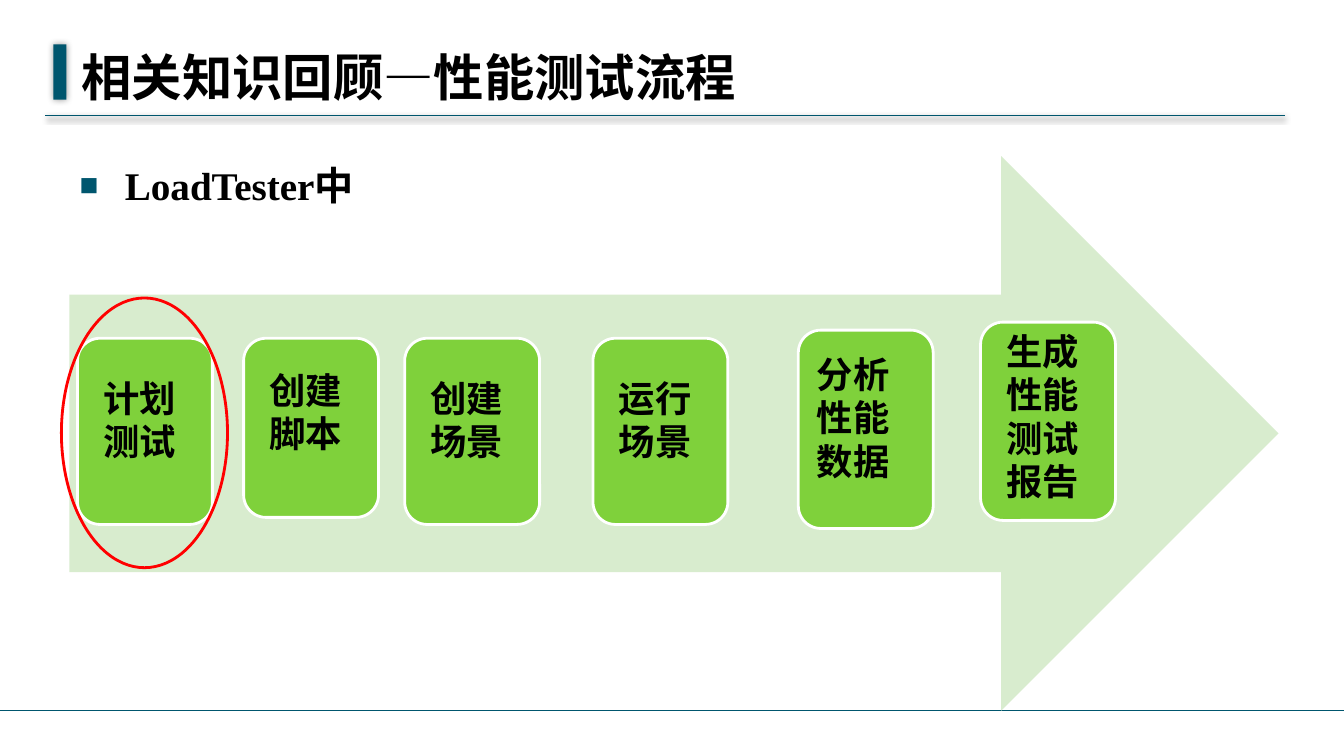
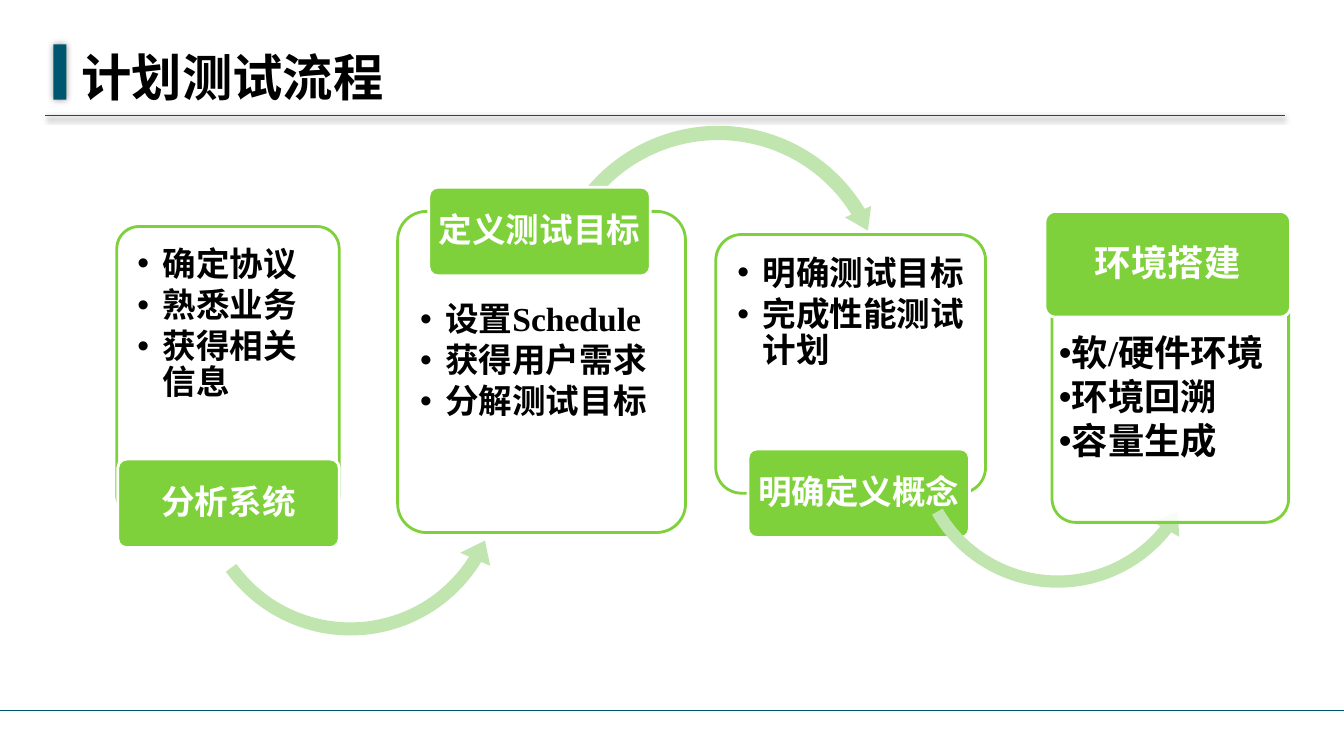
from dataclasses import dataclass

from lxml.etree import SubElement
from pptx import Presentation
from pptx.dml.color import RGBColor
from pptx.enum.shapes import MSO_CONNECTOR, MSO_SHAPE
from pptx.enum.text import MSO_ANCHOR, PP_ALIGN
from pptx.oxml.ns import qn
from pptx.util import Inches, Pt


@dataclass(frozen=True)
class Theme:
    """Colours, fonts and type sizes of the deck."""
    teal: str = "00566E"
    green: str = "7FD13B"
    pale_green: str = "D8ECCE"
    soft_green: str = "C0E5AF"
    red: str = "FF0000"
    black: str = "000000"
    white: str = "FFFFFF"
    latin: str = "Times New Roman"
    asian: str = "Noto Sans CJK SC"
    title: int = 36
    lead: int = 28
    step: int = 26
    stage: int = 24


THEME = Theme()


@dataclass(frozen=True)
class Box:
    """Rectangle counted in columns and rows of a 0.1 inch grid."""
    left: float
    top: float
    width: float
    height: float

    def inner(self, column, row, width, height):
        """Return a box placed relative to this one."""
        return Box(self.left + column, self.top + row, width, height)

    def emu(self):
        """Return the box as python-pptx lengths."""
        return [cells(n) for n in (self.left, self.top, self.width, self.height)]


def cells(count):
    """Convert grid cells to a length."""
    return Inches(round(count / 10, 3))


PAGE = Box(0, 0, 133.5, 75)
TITLE = PAGE.inner(6.9, 4.4, 90.5, 6.3)
LEAD = PAGE.inner(6.7, 13.1, 120.1, 55.1)
FLOW = PAGE.inner(6.9, 15.5, 120.1, 55.1)

STEPS = [
    (["计划测试"], 0.8, 18.1, 18.5, (1.9, 3.1)),
    (["创建脚本"], 17.3, 18.1, 17.8, (1.9, 2.3)),
    (["创建场景"], 33.3, 18.1, 18.5, (1.9, 3.1)),
    (["运行场景"], 52, 18.1, 18.5, (1.9, 3.1)),
    (["分析性能数据"], 72.4, 17.3, 19.7, (1.2, 1.5)),
    (["生成性能测试", "报告"], 90.5, 16.5, 19.7, (1.9, 0)),
]


@dataclass(frozen=True)
class Stage:
    """One stage of the planning process, its label placed relative to its card."""
    name: str
    tasks: tuple
    card: Box
    label: tuple
    margins: tuple = (1.4, 1.4)
    indent: float = 2.5
    size: int = THEME.stage
    arrow: tuple = ()


STAGES = [
    Stage("分析系统", ("确定协议", "熟悉业务", "获得相关信息"),
          PAGE.inner(11.6, 22.5, 22.1, 28.9), (0.1, 23.1, 22, 8.8),
          arrow=(MSO_SHAPE.LEFT_CIRCULAR_ARROW, (7, 9.2, 32.4, 32.4),
                 (0.04, 4.93, 19.01, 86.57, 0.05))),
    Stage("定义测试目标", ("设置Schedule", "获得用户需求", "分解测试目标"),
          PAGE.inner(39.5, 21, 28.6, 31.9), (3.1, -2.4, 22, 8.8), margins=(1.4, 8.2),
          arrow=(MSO_SHAPE.CIRCULAR_ARROW, (14.2, -9.2, 35.3, 35.3),
                 (0.04, 4.49, 197.27, 129.27, 0.04))),
    Stage("明确定义概念", ("明确测试目标", "完成性能测试计划"),
          PAGE.inner(71.1, 23.3, 26.8, 25.7), (3.2, 21.3, 22, 8.8)),
    Stage("环境搭建", ("软/硬件环境", "环境回溯", "容量生成"),
          PAGE.inner(104.5, 27.3, 23.5, 24.6), (-0.7, -6.3, 24.4, 10.5),
          margins=(0, 5.3), indent=0.6, size=THEME.step,
          arrow=(MSO_SHAPE.LEFT_CIRCULAR_ARROW, (-14.7, 1.5, 30.5, 30.5),
                 (0.04, 5.28, 23.03, 90.25, 0.05))),
]


def rgb(colour):
    """Turn a hex string into a colour."""
    return RGBColor.from_string(colour)


def add_bullet(paragraph, char, colour, indent, share):
    """Give a paragraph a hanging bullet."""
    properties = paragraph._p.get_or_add_pPr()
    properties.set("marL", str(cells(indent)))
    properties.set("indent", str(-cells(indent)))
    SubElement(SubElement(properties, qn("a:buClr")), qn("a:srgbClr"), val=colour)
    SubElement(properties, qn("a:buSzPct"), val=str(share * 1000))
    SubElement(properties, qn("a:buFont"), typeface="Arial")
    SubElement(properties, qn("a:buChar"), char=char)


def write(shape, lines, *, size, colour=THEME.black, align=PP_ALIGN.LEFT,
          anchor=MSO_ANCHOR.TOP, margins=(1.2, 0.6, 1.2, 0.6), spacing=None,
          after=None, bullet=None):
    """Fill a shape with formatted paragraphs."""
    frame = shape.text_frame
    frame.word_wrap = True
    frame.vertical_anchor = anchor
    (frame.margin_left, frame.margin_top,
     frame.margin_right, frame.margin_bottom) = map(cells, margins)
    for index, line in enumerate(lines):
        paragraph = frame.add_paragraph() if index else frame.paragraphs[0]
        paragraph.alignment = align
        if spacing:
            paragraph.line_spacing = spacing
        if after:
            paragraph.space_after = Pt(after)
        if bullet:
            add_bullet(paragraph, *bullet)
        run = paragraph.add_run()
        run.text = line
        run.font.size = Pt(size)
        run.font.bold = True
        run.font.color.rgb = rgb(colour)
        run.font.name = THEME.latin
        SubElement(run._r.get_or_add_rPr(), qn("a:ea"), typeface=THEME.asian)


def add_block(slide, kind, box, fill=None, line=None, adjust=(), opacity=100):
    """Draw a preset shape with a plain fill and outline."""
    block = slide.shapes.add_shape(kind, *box.emu())
    block.shadow.inherit = False
    for index, value in enumerate(adjust):
        block.adjustments[index] = value
    if fill:
        block.fill.solid()
        block.fill.fore_color.rgb = rgb(fill)
        if opacity < 100:
            tint = block.element.spPr.find(qn("a:solidFill"))[0]
            SubElement(tint, qn("a:alpha"), val=str(opacity * 1000))
    else:
        block.fill.background()
    if line:
        block.line.color.rgb = rgb(line)
        block.line.width = Pt(2)
    else:
        block.line.fill.background()
    return block


def add_rule(slide, left, right, row):
    """Draw a thin horizontal line without shadow."""
    rule = slide.shapes.add_connector(
        MSO_CONNECTOR.STRAIGHT, cells(left), cells(row), cells(right), cells(row))
    rule.line.color.rgb = rgb(THEME.teal)
    rule.line.width = Pt(1)
    SubElement(rule.element.spPr, qn("a:effectLst"))
    return rule


def cast_shadow(shape, opacity, blur, distance):
    """Add a soft shadow below a shape."""
    effects = shape.element.spPr.find(qn("a:effectLst"))
    shadow = SubElement(effects, qn("a:outerShdw"), blurRad=str(Pt(blur)),
                        dist=str(Pt(distance)), dir="5400000", rotWithShape="0")
    tint = SubElement(shadow, qn("a:srgbClr"), val=THEME.black)
    SubElement(tint, qn("a:alpha"), val=str(opacity * 1000))


def decorate_master(deck, slide):
    """Draw the title bar and both rules, and move them to the master."""
    title_rule = add_rule(slide, 4.5, 127.6, 11.5)
    cast_shadow(title_rule, 42, 4, 1.6)
    title_bar = add_block(slide, MSO_SHAPE.RECTANGLE, PAGE.inner(5.3, 4.4, 1.3, 5.5),
                          THEME.teal)
    cast_shadow(title_bar, 40, 5, 0)
    footer_rule = add_rule(slide, PAGE.left, PAGE.width, 70.6)
    tree = deck.slide_master.element.cSld.spTree
    for offset, decoration in enumerate((title_rule, title_bar, footer_rule)):
        decoration.element.xpath(".//p:cNvPr")[0].set("id", str(100 + offset))
        tree.insert(2 + offset, decoration.element)


def place(placeholder, box):
    """Move a placeholder to a box."""
    (placeholder.left, placeholder.top,
     placeholder.width, placeholder.height) = box.emu()
    return placeholder


def add_titled_slide(deck, layout, title):
    """Add a slide with its title in place."""
    slide = deck.slides.add_slide(deck.slide_layouts.get_by_name(layout))
    write(place(slide.shapes.title, TITLE), [title], size=THEME.title,
          anchor=MSO_ANCHOR.MIDDLE)
    return slide


def add_flow(slide, box):
    """Draw the big arrow with its steps and circle the first one."""
    add_block(slide, MSO_SHAPE.RIGHT_ARROW, box, THEME.pale_green)
    for lines, column, row, height, (left, top) in STEPS:
        step = add_block(slide, MSO_SHAPE.ROUNDED_RECTANGLE,
                         box.inner(column, row, 13.4, height), THEME.green, THEME.white)
        write(step, lines, size=THEME.step, margins=(left, top, 1.5, 0))
    add_block(slide, MSO_SHAPE.OVAL, box.inner(-0.8, 14.1, 16.5, 26.8), line=THEME.red)


def add_stage(slide, stage):
    """Draw the arrow, task card and label of one stage."""
    if stage.arrow:
        kind, position, adjust = stage.arrow
        add_block(slide, kind, stage.card.inner(*position), THEME.soft_green, adjust=adjust)
    card = add_block(slide, MSO_SHAPE.ROUNDED_RECTANGLE, stage.card, THEME.white,
                     THEME.green, adjust=(0.1,), opacity=90)
    left, top = stage.margins
    write(card, stage.tasks, size=stage.size, margins=(left, top, min(left, 1), 0),
          spacing=0.9, after=3.6, bullet=("•", THEME.black, stage.indent, 100))
    label = add_block(slide, MSO_SHAPE.ROUNDED_RECTANGLE, stage.card.inner(*stage.label),
                      THEME.green, THEME.white, adjust=(0.1,))
    write(label, [stage.name], size=stage.size, colour=THEME.white,
          align=PP_ALIGN.CENTER, anchor=MSO_ANCHOR.MIDDLE,
          margins=(0.3, 0.3, 0.3, 0.3), spacing=0.9)


def build_review(deck):
    """Build the slide that reviews the testing process."""
    slide = add_titled_slide(deck, "Title and Content", "相关知识回顾—性能测试流程")
    decorate_master(deck, slide)
    write(place(slide.placeholders[1], LEAD), ["LoadTester中"], size=THEME.lead,
          spacing=1.5, bullet=("■", THEME.teal, 4.5, 80))
    add_flow(slide, FLOW)


def build_planning(deck):
    """Build the slide that details the planning stages."""
    slide = add_titled_slide(deck, "Title Only", "计划测试流程")
    for stage in STAGES:
        add_stage(slide, stage)


def main():
    """Build and save the deck."""
    deck = Presentation()
    deck.slide_width, deck.slide_height = cells(PAGE.width), cells(PAGE.height)
    build_review(deck)
    build_planning(deck)
    deck.save("out.pptx")


if __name__ == "__main__":
    main()
